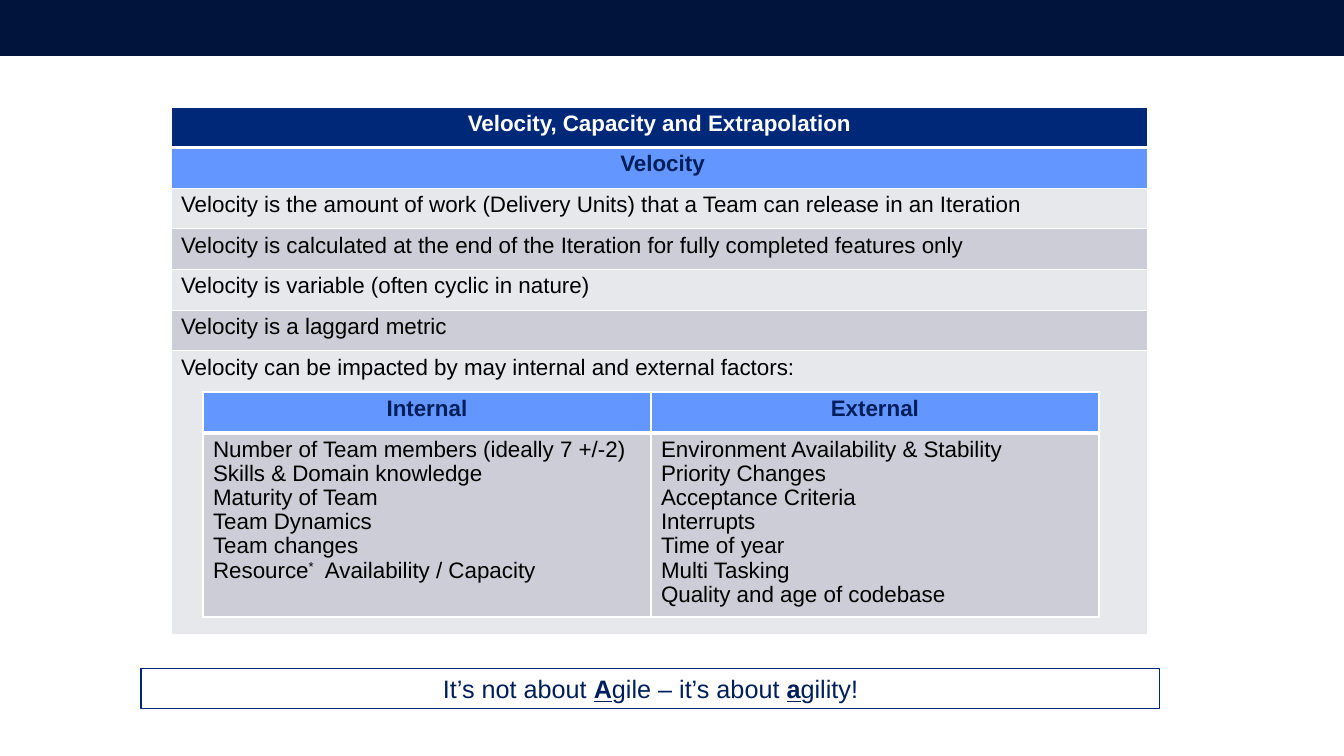
import pptx
import pptx.util
import pptx.dml.color
import pptx.enum.shapes
import pptx.enum.text
import pptx.oxml
import pptx.oxml.ns

RGB = pptx.dml.color.RGBColor
ALIGN = pptx.enum.text.PP_ALIGN
RECT = pptx.enum.shapes.MSO_SHAPE.RECTANGLE

WHITE = RGB(0xFF, 0xFF, 0xFF)
BLACK = RGB(0x00, 0x00, 0x00)
NIGHT = RGB(0x00, 0x14, 0x3C)
NAVY = RGB(0x00, 0x28, 0x78)
INK = RGB(0x00, 0x1E, 0x5A)
BLUE = RGB(0x63, 0x97, 0xFF)
PALE = RGB(0xE7, 0xE8, 0xEC)
GREY = RGB(0xCC, 0xCD, 0xD6)

WIDE, HIGH = 1344, 756
SCALE = 12192000 / WIDE

FACTS = [
    "Velocity is the amount of work (Delivery Units) that a Team can release in an Iteration",
    "Velocity is calculated at the end of the Iteration for fully completed features only",
    "Velocity is variable (often cyclic in nature)",
    "Velocity is a laggard metric",
    "Velocity can be impacted by may internal and external factors:",
]
FACTORS = {
    "Internal": [
        "Number of Team members (ideally 7 +/-2)",
        "Skills & Domain knowledge",
        "Maturity of Team",
        "Team Dynamics",
        "Team changes",
        "Resource^*^  Availability / Capacity",
    ],
    "External": [
        "Environment Availability & Stability",
        "Priority Changes",
        "Acceptance Criteria",
        "Interrupts",
        "Time of year",
        "Multi Tasking",
        "Quality and age of codebase",
    ],
}


def px(count):
    return round(count * SCALE)


def style(para, size, color, bold=False, align=ALIGN.LEFT):
    para.alignment = align
    font = para.font
    font.name, font.size = "Arial", pptx.util.Pt(size)
    font.color.rgb, font.bold = color, bold


def edge(cell, side, width):
    """Draw one white border of a cell."""
    space = pptx.oxml.ns.nsdecls("a")
    line = pptx.oxml.parse_xml(
        f'<a:ln{side} {space} w="{pptx.util.Pt(width)}"><a:solidFill>'
        f'<a:srgbClr val="{WHITE}"/></a:solidFill></a:ln{side}>')
    cell._tc.get_or_add_tcPr().append(line)


def write(cell, lines, fill, color, head=False, top=1, base=1):
    """Fill a cell; text between carets is raised."""
    for side, width in zip("LRTB", (1, 1, top, base)):
        edge(cell, side, width)
    cell.fill.solid()
    cell.fill.fore_color.rgb = fill
    frame = cell.text_frame
    for row, line in enumerate(lines):
        para = frame.add_paragraph() if row else frame.paragraphs[0]
        for part, text in enumerate(line.split("^")):
            run = para.add_run()
            run.text = text
            if part % 2:
                run._r.get_or_add_rPr().set("baseline", "30000")
        style(para, 16, color, head, ALIGN.CENTER if head else ALIGN.LEFT)
        para.line_spacing = 0.97


def grid(slide, box, rows, cols):
    """Add a plain table whose last row takes the height left over."""
    x, y, w, h, step = box
    table = slide.shapes.add_table(rows, cols, px(x), px(y), px(w), px(h)).table
    for row in table.rows:
        row.height = px(step)
    table.rows[rows - 1].height = px(h - step * (rows - 1))
    return table


def panel(slide, x, y, w, h):
    """Main table with the factors table in its last row."""
    step = 244 / 6
    table = grid(slide, (x, y, w, h, step), len(FACTS) + 2, 1)
    write(table.cell(0, 0), ["Velocity, Capacity and Extrapolation"],
          NAVY, WHITE, True, base=3)
    write(table.cell(1, 0), [" Velocity"], BLUE, INK, True, top=3)
    for row, fact in enumerate(FACTS):
        write(table.cell(row + 2, 0), [fact], GREY if row % 2 else PALE, BLACK)
    factors(slide, x + 32, y + 285, w - 81, h - 303)


def factors(slide, x, y, w, h):
    table = grid(slide, (x, y, w, h, 41), 2, len(FACTORS))
    for col, (name, lines) in enumerate(FACTORS.items()):
        write(table.cell(0, col), [name], BLUE, INK, True, base=3)
        write(table.cell(1, col), lines, GREY, BLACK, top=3)


def block(slide, x, y, w, h):
    shape = slide.shapes.add_shape(RECT, px(x), px(y), px(w), px(h))
    shape.shadow.inherit = False
    return shape


def band(slide, x, y, w, h):
    shape = block(slide, x, y, w, h)
    shape.fill.solid()
    shape.fill.fore_color.rgb = NIGHT
    shape.line.fill.background()


def motto(slide, x, y, w, h):
    shape = block(slide, x, y, w, h)
    shape.fill.background()
    shape.line.color.rgb = NAVY
    shape.line.width = pptx.util.Pt(0.75)
    frame = shape.text_frame
    frame.word_wrap = True
    frame.auto_size = pptx.enum.text.MSO_AUTO_SIZE.SHAPE_TO_FIT_TEXT
    para = frame.paragraphs[0]
    parts = ["It’s not about ", "A", "gile – it’s about ", "a", "gility!"]
    for place, text in enumerate(parts):
        run = para.add_run()
        run.text = text
        if place % 2:
            run.font.bold = run.font.underline = True
    style(para, 18, INK, align=ALIGN.CENTER)


def main():
    deck = pptx.Presentation()
    deck.slide_width, deck.slide_height = px(WIDE), px(HIGH)
    slide = deck.slides.add_slide(deck.slide_layouts[6])
    band(slide, 0, 0, WIDE, 56)
    panel(slide, 171, 107, 977, 528)
    motto(slide, 141, 668, 1019, 41)
    deck.save("out.pptx")


if __name__ == "__main__":
    main()
